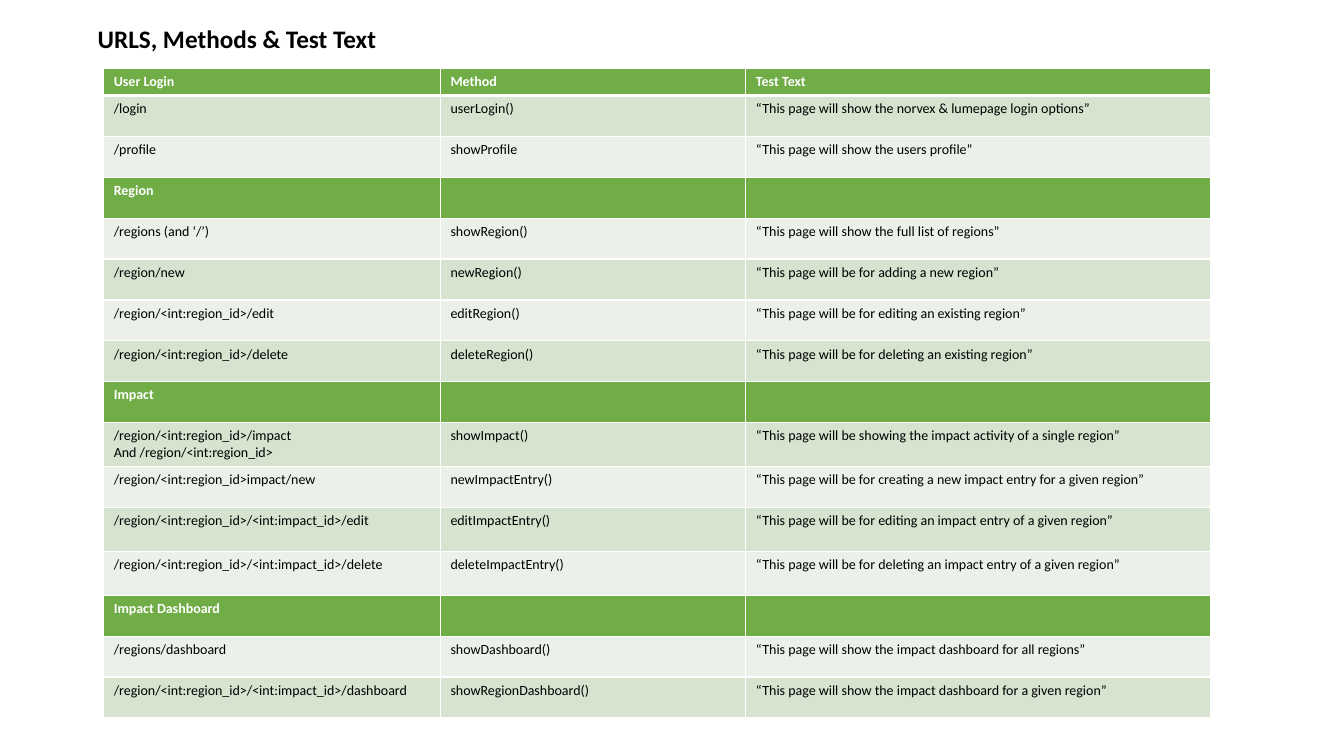
from typing import NamedTuple

from lxml import etree
from pptx import Presentation
from pptx.dml.color import RGBColor
from pptx.oxml.ns import qn
from pptx.util import Pt

FONT = "Calibri"
WHITE, BLACK, GREEN = "FFFFFF", "000000", "70AD47"
BANDS = ("EBF1E9", "D5E3CF")
COLUMN_WIDTHS = (240.5, 218.2, 331.9)
HEADER_HEIGHT, ROW_HEIGHT, TALL_HEIGHT = 19.2, 29.2, 31.4


class Row(NamedTuple):
    url: str
    method: str = ""
    test_text: str = ""
    heading: bool = False
    height: float = ROW_HEIGHT


ROWS = [
    Row("User Login", "Method", "Test Text", heading=True, height=HEADER_HEIGHT),
    Row("/login", "userLogin()", "“This page will show the norvex & lumepage login options”"),
    Row("/profile", "showProfile", "“This page will show the users profile”"),
    Row("Region", heading=True),
    Row("/regions (and ‘/’)", "showRegion()", "“This page will show the full list of regions”"),
    Row("/region/new", "newRegion()", "“This page will be for adding a new region”"),
    Row("/region/<int:region_id>/edit", "editRegion()",
        "“This page will be for editing an existing region”"),
    Row("/region/<int:region_id>/delete", "deleteRegion()",
        "“This page will be for deleting an existing region”"),
    Row("Impact", heading=True),
    Row("/region/<int:region_id>/impact\nAnd /region/<int:region_id>", "showImpact()",
        "“This page will be showing the impact activity of a single region”",
        height=TALL_HEIGHT),
    Row("/region/<int:region_id>impact/new", "newImpactEntry()",
        "“This page will be for creating a new impact entry for a given region”"),
    Row("/region/<int:region_id>/<int:impact_id>/edit", "editImpactEntry()",
        "“This page will be for editing an impact entry of a given region”",
        height=TALL_HEIGHT),
    Row("/region/<int:region_id>/<int:impact_id>/delete", "deleteImpactEntry()",
        "“This page will be for deleting an impact entry of a given region”",
        height=TALL_HEIGHT),
    Row("Impact Dashboard", heading=True),
    Row("/regions/dashboard", "showDashboard()",
        "“This page will show the impact dashboard for all regions”"),
    Row("/region/<int:region_id>/<int:impact_id>/dashboard", "showRegionDashboard()",
        "“This page will show the impact dashboard for a given region”"),
]


def rgb(color: str) -> RGBColor:
    return RGBColor.from_string(color)


def write(tf, content: str, size: float, color: str, bold: bool) -> None:
    for i, line in enumerate(content.split("\n")):
        p = tf.add_paragraph() if i else tf.paragraphs[0]
        r = p.add_run()
        r.text = line
        r.font.name = FONT
        r.font.size = Pt(size)
        r.font.bold = bold
        r.font.color.rgb = rgb(color)


def set_border(cell, side: str, width: float) -> None:
    line = etree.SubElement(cell._tc.get_or_add_tcPr(), qn(f"a:{side}"), w=str(Pt(width)))
    fill = etree.SubElement(line, qn("a:solidFill"))
    etree.SubElement(fill, qn("a:srgbClr"), val=WHITE)


def draw_cell(cell, content: str, row: Row, index: int) -> None:
    widths = {
        "lnL": 1,
        "lnR": 1,
        "lnT": 3 if index == 1 else 1,
        "lnB": 3 if index == 0 else 1,
    }
    for side, width in widths.items():
        set_border(cell, side, width)
    cell.fill.solid()
    cell.fill.fore_color.rgb = rgb(GREEN if row.heading else BANDS[index % 2])
    if content:
        write(cell.text_frame, content, 10, WHITE if row.heading else BLACK, row.heading)


def draw_table(s, rows: list[Row], left: float, top: float) -> None:
    table = s.shapes.add_table(
        len(rows), len(COLUMN_WIDTHS), Pt(left), Pt(top),
        Pt(sum(COLUMN_WIDTHS)), Pt(sum(row.height for row in rows)),
    ).table
    for column, width in zip(table.columns, COLUMN_WIDTHS):
        column.width = Pt(width)
    for i, row in enumerate(rows):
        table.rows[i].height = Pt(row.height)
        for j, content in enumerate((row.url, row.method, row.test_text)):
            draw_cell(table.cell(i, j), content, row, i)


prs = Presentation()
prs.slide_width, prs.slide_height = Pt(960), Pt(540)
s = prs.slides.add_slide(prs.slide_layouts[6])

title = s.shapes.add_textbox(Pt(62.7), Pt(13.2), Pt(228), Pt(29))
title.text_frame.word_wrap = False
write(title.text_frame, "URLS, Methods & Test Text", 18, BLACK, True)

draw_table(s, ROWS, 74.1, 49)

prs.save("out.pptx")
